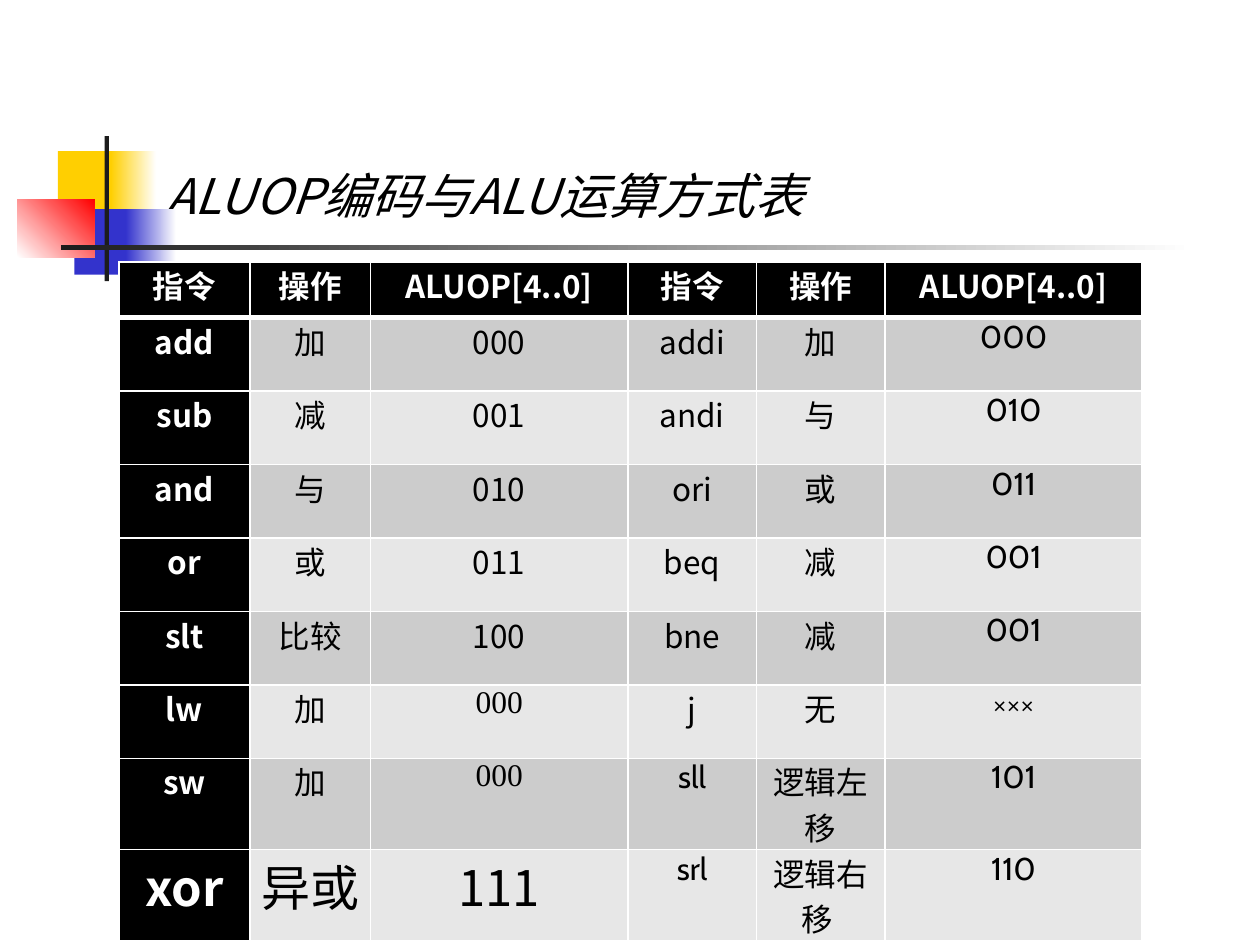
from dataclasses import dataclass
from typing import Optional

from lxml import etree
from pptx import Presentation
from pptx.dml.color import RGBColor
from pptx.enum.shapes import MSO_SHAPE
from pptx.enum.text import MSO_ANCHOR, MSO_AUTO_SIZE, PP_ALIGN
from pptx.oxml.ns import qn
from pptx.util import Pt

RECTANGLE = MSO_SHAPE.RECTANGLE
BOTTOM, TOP = MSO_ANCHOR.BOTTOM, MSO_ANCHOR.TOP
CENTER, LEFT = PP_ALIGN.CENTER, PP_ALIGN.LEFT
NO_FIT = MSO_AUTO_SIZE.NONE

COLORS = {
    "white": "FFFFFF", "black": "000000", "yellow": "FFCF01", "blue": "3333CC",
    "red": "FF0000", "charcoal": "1C1C1C", "dark band": "CCCCCC", "light band": "E7E7E7",
}
SANS, CABIN, SERIF = "Noto Sans CJK JP", "Cabin", "Times New Roman"


@dataclass
class Ornament:
    left: float
    top: float
    width: float
    height: float
    color: str
    fade_to: Optional[str] = None
    angle: float = 0


@dataclass
class CellStyle:
    fill: str
    color: str = "black"
    font: str = SANS
    size: float = 18
    bold: bool = False


ORNAMENTS = [
    Ornament(33.1, 86.4, 34.6, 37.4, "yellow"),
    Ornament(63.4, 86.4, 25.9, 37.4, "yellow", "white"),
    Ornament(42.5, 119.5, 33.1, 37.4, "blue"),
    Ornament(72, 119.5, 28.8, 37.4, "blue", "white"),
    Ornament(10, 113.8, 44, 33.1, "white", "red", 45),
    Ornament(59.8, 77.8, 2.4, 82.8, "charcoal"),
    Ornament(34.6, 140.2, 648, 2.4, "charcoal", "white"),
]

HEADER = ["指令", "操作", "ALUOP[4..0]"] * 2
ROWS = [
    HEADER,
    ["add", "加", "000", "addi", "加", "000"],
    ["sub", "减", "001", "andi", "与", "010"],
    ["and", "与", "010", "ori", "或", "011"],
    ["or", "或", "011", "beq", "减", "001"],
    ["slt", "比较", "100", "bne", "减", "001"],
    ["lw", "加", "000", "j", "无", "×××"],
    ["sw", "加", "000", "sll", "逻辑左移", "101"],
    ["xor", "异或", "111", "srl", "逻辑右移\u00a0", "110"],
]
COLUMN_WIDTHS = [74.8, 69, 147, 73.5, 73.5, 147]
HEADER_HEIGHT, ROW_HEIGHT = 31.7, 42
SPECIAL_FONTS = {(6, 2): SERIF, (7, 2): SERIF, (7, 3): CABIN, (8, 3): CABIN,
                 (7, 4): SERIF, (8, 4): SERIF}


def rgb(name: str) -> RGBColor:
    return RGBColor.from_string(COLORS[name])


def add_ornament(slide, ornament: Ornament) -> None:
    shape = slide.shapes.add_shape(RECTANGLE, Pt(ornament.left), Pt(ornament.top),
                                   Pt(ornament.width), Pt(ornament.height))
    shape.shadow.inherit = False
    shape.line.fill.background()
    if ornament.fade_to is None:
        shape.fill.solid()
        shape.fill.fore_color.rgb = rgb(ornament.color)
        return
    shape.fill.gradient()
    shape.fill.gradient_angle = ornament.angle
    for stop, name in zip(shape.fill.gradient_stops, (ornament.color, ornament.fade_to)):
        stop.color.rgb = rgb(name)


def format_run(run, font: str, size: float, color: str) -> None:
    run.font.name = font
    run.font.size = Pt(size)
    run.font.color.rgb = rgb(color)
    east_asian = etree.Element(qn("a:ea"), typeface=SANS)
    run.font._element.find(qn("a:latin")).addnext(east_asian)


def set_borders(cell, top: float, bottom: float) -> None:
    properties = cell._tc.get_or_add_tcPr()
    widths = {"a:lnL": 1, "a:lnR": 1, "a:lnT": top, "a:lnB": bottom}
    for index, (tag, width) in enumerate(widths.items()):
        line = etree.Element(qn(tag), w=str(Pt(width)))
        fill = etree.SubElement(line, qn("a:solidFill"))
        etree.SubElement(fill, qn("a:srgbClr"), val=COLORS["white"])
        properties.insert(index, line)


def cell_style(row: int, column: int) -> CellStyle:
    size = 28 if row == len(ROWS) - 1 and column < 3 else 18
    if row == 0 or column == 0:
        return CellStyle("black", "white", size=size, bold=True)
    default_font = CABIN if column == 5 else SANS
    font = SPECIAL_FONTS.get((row, column), default_font)
    return CellStyle("dark band" if row % 2 else "light band", font=font, size=size)


def fill_cell(cell, text: str, style: CellStyle) -> None:
    cell.margin_left = cell.margin_right = Pt(5.4)
    cell.margin_top = cell.margin_bottom = Pt(0)
    cell.vertical_anchor = TOP
    cell.fill.solid()
    cell.fill.fore_color.rgb = rgb(style.fill)
    paragraph = cell.text_frame.paragraphs[0]
    paragraph.text = text
    paragraph.alignment = CENTER
    # Space before is a share of the line height
    spacing = etree.SubElement(paragraph._p.get_or_add_pPr(), qn("a:spcBef"))
    etree.SubElement(spacing, qn("a:spcPct"), val="20000")
    run = paragraph.runs[0]
    format_run(run, style.font, style.size, style.color)
    run.font.bold = style.bold


def add_title(slide, text: str) -> None:
    title = slide.shapes.title
    title.left, title.top, title.width, title.height = Pt(87.1), Pt(82), Pt(613.4), Pt(49.7)
    frame = title.text_frame
    frame.text = text
    frame.word_wrap = True
    frame.auto_size = NO_FIT
    frame.vertical_anchor = BOTTOM
    paragraph = frame.paragraphs[0]
    paragraph.alignment = LEFT
    run = paragraph.runs[0]
    format_run(run, SANS, 28, "black")
    run.font.italic = True


def add_instruction_table(slide) -> None:
    height = HEADER_HEIGHT + ROW_HEIGHT * (len(ROWS) - 1)
    frame = slide.shapes.add_table(len(ROWS), len(HEADER), Pt(68), Pt(149.8),
                                   Pt(sum(COLUMN_WIDTHS)), Pt(height))
    table = frame.table
    for column, width in zip(table.columns, COLUMN_WIDTHS):
        column.width = Pt(width)
    for row, texts in enumerate(ROWS):
        table.rows[row].height = Pt(ROW_HEIGHT if row else HEADER_HEIGHT)
        for column, text in enumerate(texts):
            cell = table.cell(row, column)
            fill_cell(cell, text, cell_style(row, column))
            set_borders(cell, top=3 if row == 1 else 1, bottom=3 if row == 0 else 1)


presentation = Presentation()
presentation.slide_width, presentation.slide_height = Pt(720), Pt(540)
slide = presentation.slides.add_slide(presentation.slide_layouts[5])

# Corner ornament and rule
for ornament in ORNAMENTS:
    add_ornament(slide, ornament)

# Title and instruction table
add_title(slide, "ALUOP编码与ALU运算方式表")
add_instruction_table(slide)

presentation.save("out.pptx")
